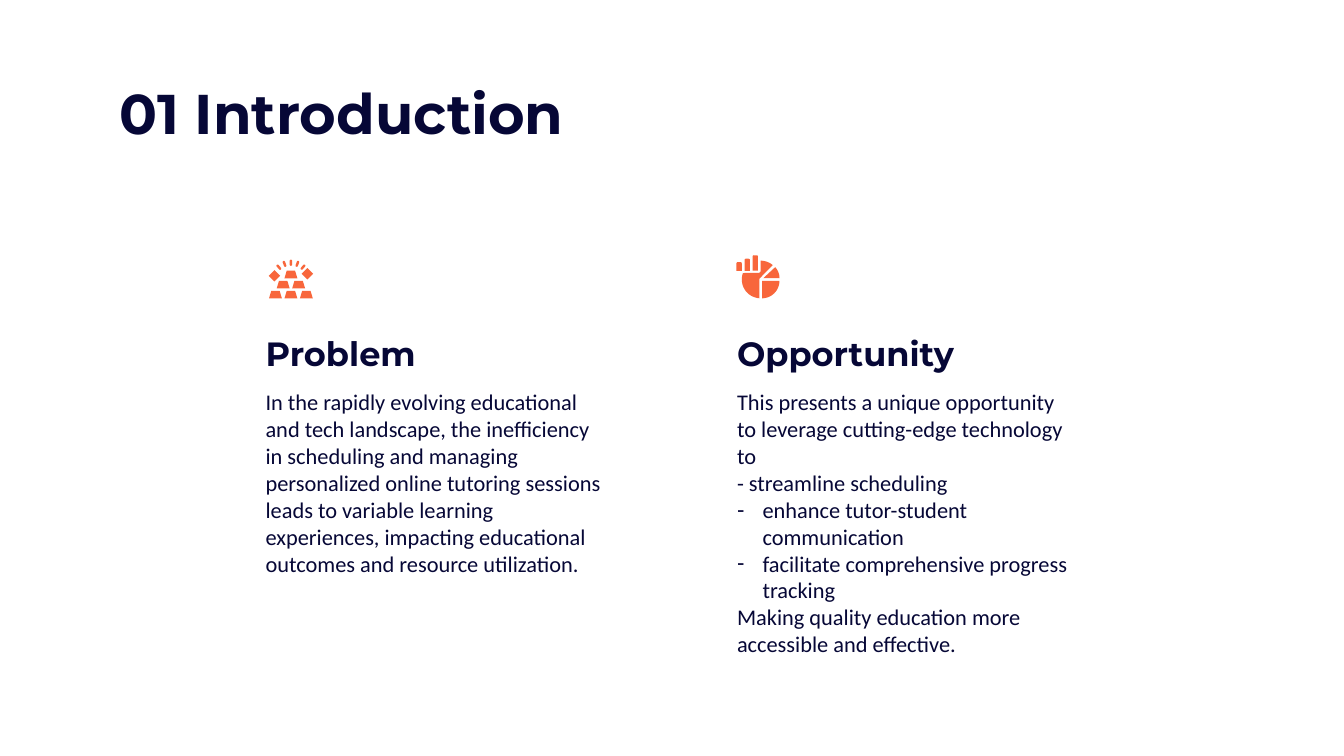
import math

from lxml import etree
from pptx import Presentation
from pptx import util as u
from pptx.dml.color import RGBColor
from pptx.enum import shapes, text
from pptx.oxml.ns import qn

NAVY, ORANGE = "060736", "F8663B"
HEADING_FONT, BODY_FONT = "Montserrat", "Calibri"
SLIDE_WIDTH = u.Inches(10)
SLIDE_HEIGHT = SLIDE_WIDTH * 9 // 16
CELL = SLIDE_WIDTH // 100  # the slide is 100 columns wide, with square cells


def cells(*values):
    return [round(value * CELL) for value in values]


def color(hex_string):
    return RGBColor.from_string(hex_string)


def write(paragraph, words, font=BODY_FONT, size=12, bold=False, bullet=None):
    """Fill a paragraph, with a hanging bullet if one is given."""
    run = paragraph.add_run()
    run.text = words
    run.font.name, run.font.size, run.font.bold = font, u.Pt(size), bold
    run.font.color.rgb = color(NAVY)
    paragraph.alignment = text.PP_ALIGN.LEFT
    paragraph.space_before = paragraph.space_after = u.Pt(0)

    properties = paragraph._p.get_or_add_pPr()
    indent = u.Inches(0.19) if bullet else 0
    properties.set("marL", str(indent))
    properties.set("indent", str(-indent))
    if bullet:
        bullet_color = etree.SubElement(properties, qn("a:buClr"))
        etree.SubElement(bullet_color, qn("a:srgbClr"), val=NAVY)
        etree.SubElement(properties, qn("a:buChar"), char=bullet)
    else:
        etree.SubElement(properties, qn("a:buNone"))


def arc(center, radius, start, end, steps=24):
    """Points on a circle, with angles in degrees counted counterclockwise."""
    angles = [math.radians(start + (end - start) * i / steps) for i in range(steps + 1)]
    return [(center[0] + radius * math.cos(angle), center[1] - radius * math.sin(angle))
            for angle in angles]


class SlideBuilder:
    def __init__(self, slide):
        self.slide = slide
        self.icon = None

    def placeholder(self, index, box, lines, anchor=text.MSO_ANCHOR.TOP, **style):
        """Move a placeholder and fill it with (words, bullet) lines."""
        shape = self.slide.placeholders[index]
        shape.left, shape.top, shape.width, shape.height = cells(*box)
        frame = shape.text_frame
        frame.word_wrap = True
        frame.auto_size = text.MSO_AUTO_SIZE.NONE
        frame.vertical_anchor = anchor
        frame.margin_left = frame.margin_right = CELL
        frame.margin_top = frame.margin_bottom = CELL
        for number, (words, bullet) in enumerate(lines):
            paragraph = frame.add_paragraph() if number else frame.paragraphs[0]
            write(paragraph, words, bullet=bullet, **style)

    def column(self, left, first_index, heading, lines):
        self.placeholder(first_index, (left, 23.9, 27.4, 4.9), [(heading, None)],
                         anchor=text.MSO_ANCHOR.BOTTOM, font=HEADING_FONT, size=18, bold=True)
        self.placeholder(first_index + 1, (left, 27.9, 27.4, 15.9), lines)

    def start_icon(self):
        self.icon = self.slide.shapes.add_group_shape()

    def paint(self, shape):
        shape.shadow.inherit = False
        shape.fill.solid()
        shape.fill.fore_color.rgb = color(ORANGE)
        shape.line.fill.background()

    def preset(self, kind, left, top, width, height, rotation=0, adjustment=None):
        shape = self.icon.shapes.add_shape(kind, *cells(left, top, width, height))
        shape.rotation = rotation
        if adjustment is not None:
            shape.adjustments[0] = adjustment
        self.paint(shape)

    def outline(self, points):
        start, *others = [cells(*point) for point in points]
        builder = self.icon.shapes.build_freeform(*start, scale=1.0)
        builder.add_line_segments(others, close=True)
        self.paint(builder.convert_to_shape())


def draw_gold_icon(builder):
    builder.start_icon()
    middle = 21.65
    # Pyramid of ingots
    for row in range(3):
        for position in range(row + 1):
            center = middle + 1.15 * (position - row / 2)
            builder.preset(shapes.MSO_SHAPE.TRAPEZOID, center - 0.48, 20.15 + 0.75 * row,
                           0.96, 0.56, adjustment=0.3)
    # Rays on a circle
    for angle in range(-40, 41, 20):
        x = middle + 1.4 * math.sin(math.radians(angle))
        y = 20.95 - 1.4 * math.cos(math.radians(angle))
        builder.preset(shapes.MSO_SHAPE.ROUNDED_RECTANGLE, x - 0.09, y - 0.23, 0.18, 0.46,
                       rotation=angle, adjustment=0.5)
    # Sparkles
    for left, top in ((20, 20.1), (22.45, 19.95)):
        builder.preset(shapes.MSO_SHAPE.DIAMOND, left, top, 0.85, 0.85)


def draw_chart_icon(builder):
    builder.start_icon()
    # Pie slices
    for center, radius, start, end in (((56.8, 20.7), 1.2, 0, 43), ((56.7, 20.9), 1.3, -90, 0)):
        builder.outline([center] + arc(center, radius, start, end))
    center, radius = (56.6, 20.8), 1.4
    builder.outline(arc(center, radius, 50, 90) + [(56.6, 20.2), (56.5, 20.3)]
                    + arc(center, radius, 160, 266) + [(56.5, 20.75)])
    # Bars on one baseline
    for number, height in enumerate((0.65, 0.9, 1.15)):
        builder.preset(shapes.MSO_SHAPE.ROUND_2_SAME_RECTANGLE, 54.8 + 0.6 * number,
                       20.15 - height, 0.4, height, adjustment=0.25)


def main():
    presentation = Presentation()
    presentation.slide_width, presentation.slide_height = SLIDE_WIDTH, SLIDE_HEIGHT
    comparison_layout = presentation.slide_layouts[4]
    builder = SlideBuilder(presentation.slides.add_slide(comparison_layout))

    # Title
    builder.placeholder(0, (7.87, 4.87, 84.3, 6.3), [("01 Introduction", None)],
                        font=HEADING_FONT, size=30, bold=True)

    # Text columns
    builder.column(18.76, 1, "Problem", [
        ("In the rapidly evolving educational and tech landscape, the inefficiency in "
         "scheduling and managing personalized online tutoring sessions leads to variable "
         "learning experiences, impacting educational outcomes and resource utilization.", None),
    ])
    builder.column(53.84, 3, "Opportunity", [
        ("This presents a unique opportunity to leverage cutting-edge technology to", None),
        ("- streamline scheduling", None),
        ("enhance tutor-student communication", "-"),
        ("facilitate comprehensive progress tracking", "-"),
        ("Making quality education more accessible and effective.", None),
    ])

    # Icons
    draw_gold_icon(builder)
    draw_chart_icon(builder)

    presentation.save("out.pptx")


if __name__ == "__main__":
    main()
